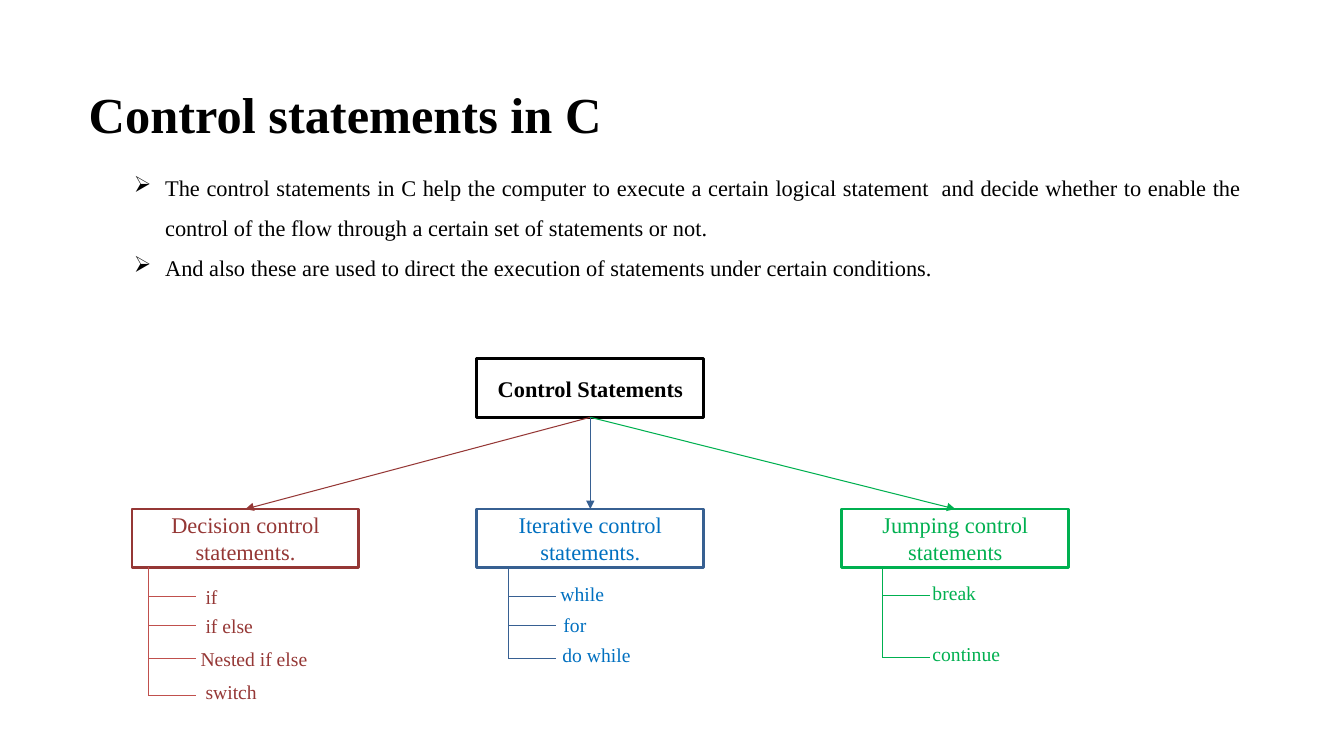
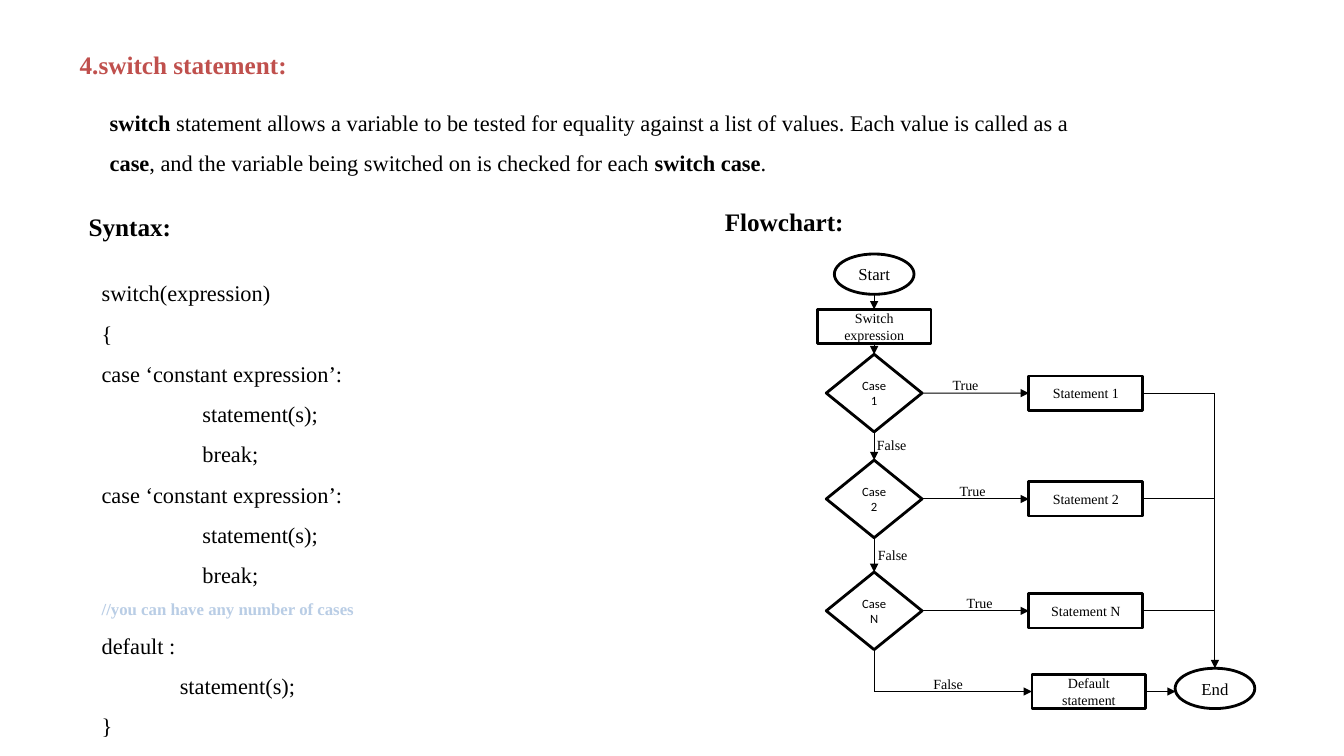
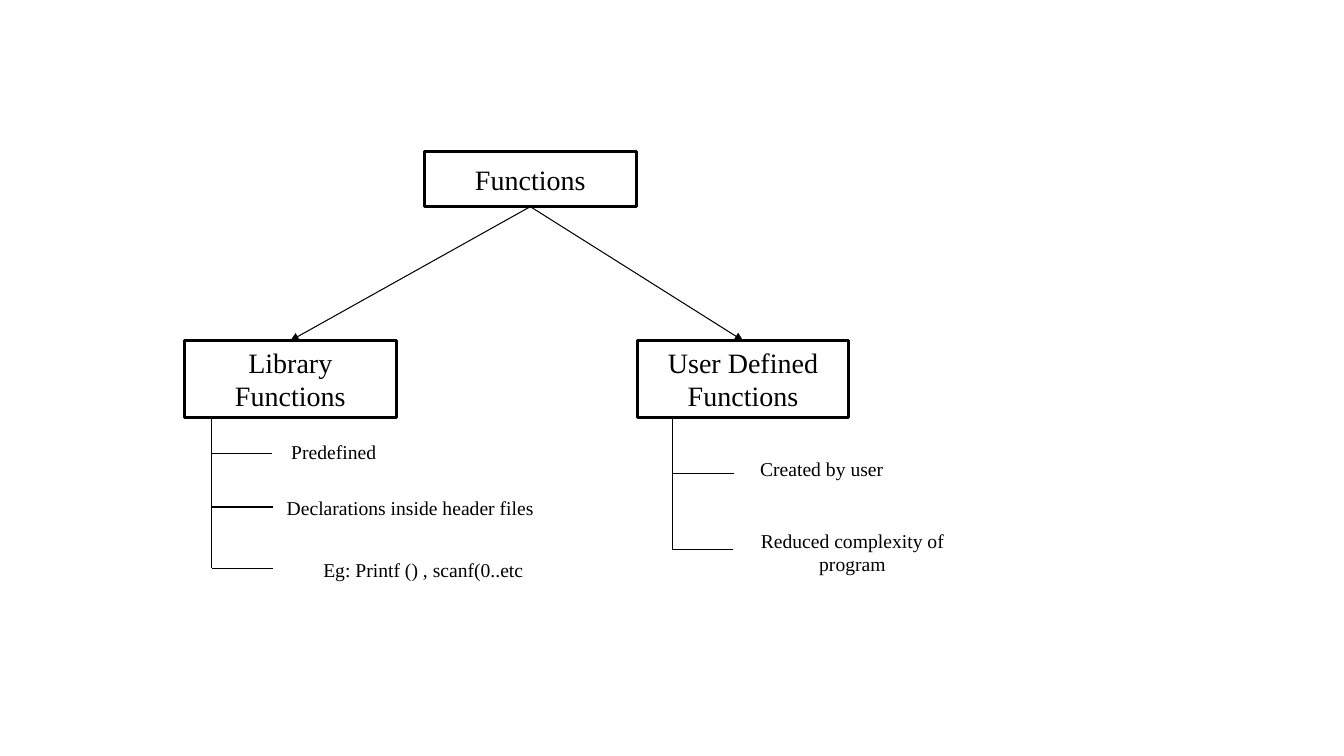
from lxml import etree
from pptx import Presentation
from pptx.dml.color import RGBColor
from pptx.enum.shapes import MSO_CONNECTOR, MSO_SHAPE
from pptx.enum.text import MSO_ANCHOR, PP_ALIGN
from pptx.oxml.ns import qn
from pptx.util import Inches, Pt

BLACK = RGBColor(0x00, 0x00, 0x00)
WHITE = RGBColor(0xFF, 0xFF, 0xFF)
RED = RGBColor(0xC0, 0x50, 0x4D)
DARK_RED = RGBColor(0x95, 0x37, 0x35)
BLUE = RGBColor(0x00, 0x70, 0xC0)
DARK_BLUE = RGBColor(0x37, 0x60, 0x92)
PALE_BLUE = RGBColor(0xB9, 0xCD, 0xE5)
GREEN = RGBColor(0x00, 0xB0, 0x50)

SERIF = "Times New Roman"
SANS = "Calibri"

RECTANGLE = MSO_SHAPE.RECTANGLE
DIAMOND = MSO_SHAPE.DIAMOND
ELLIPSE = MSO_SHAPE.OVAL
STRAIGHT = MSO_CONNECTOR.STRAIGHT
LEFT, CENTER, JUSTIFY = PP_ALIGN.LEFT, PP_ALIGN.CENTER, PP_ALIGN.JUSTIFY
TOP, MIDDLE = MSO_ANCHOR.TOP, MSO_ANCHOR.MIDDLE
SIDE_TOP, SIDE_LEFT, SIDE_BOTTOM, SIDE_RIGHT = range(4)


def style_paragraph(paragraph, size, color=BLACK, bold=False, font_name=SERIF,
                    align=LEFT):
    paragraph.alignment = align
    font = paragraph.font
    font.name = font_name
    font.size = Pt(size)
    font.bold = bold
    font.color.rgb = color


def add_title(slide, text, left, top, width, height, size, color=BLACK):
    title = slide.shapes.title
    title.left, title.top = Inches(left), Inches(top)
    title.width, title.height = Inches(width), Inches(height)
    title.text_frame.text = text
    title.text_frame.vertical_anchor = TOP
    style_paragraph(title.text_frame.paragraphs[0], size, color, bold=True)


def add_text_frame(slide, left, top, width, height):
    text_box = slide.shapes.add_textbox(
        Inches(left), Inches(top), Inches(width), Inches(height))
    text_box.text_frame.word_wrap = True
    return text_box.text_frame


def add_label(slide, text, left, top, width, height, size, color=BLACK, bold=False):
    frame = add_text_frame(slide, left, top, width, height)
    frame.text = text
    style_paragraph(frame.paragraphs[0], size, color, bold)


def add_box(slide, text, left, top, width, height, size, line_color=BLACK,
            text_color=BLACK, bold=False, kind=RECTANGLE, font_name=SERIF):
    shape = slide.shapes.add_shape(
        kind, Inches(left), Inches(top), Inches(width), Inches(height))
    shape.shadow.inherit = False
    shape.fill.solid()
    shape.fill.fore_color.rgb = WHITE
    shape.line.color.rgb = line_color
    shape.line.width = Pt(2)
    shape.text_frame.text = text
    shape.text_frame.vertical_anchor = MIDDLE
    style_paragraph(shape.text_frame.paragraphs[0], size, text_color, bold,
                    font_name, CENTER)
    return shape


def add_line(slide, start, end, color=BLACK, arrow=False):
    """Each end is an (x, y) point in inches or a (shape, side) joint."""
    points = [end_point if isinstance(end_point[0], (int, float)) else (0, 0)
              for end_point in (start, end)]
    connector = slide.shapes.add_connector(
        STRAIGHT, *[Inches(value) for point in points for value in point])
    if not isinstance(start[0], (int, float)):
        connector.begin_connect(*start)
    if not isinstance(end[0], (int, float)):
        connector.end_connect(*end)
    connector.line.color.rgb = color
    connector.line.width = Pt(0.75)
    properties = connector._element.spPr
    if arrow:
        etree.SubElement(properties.find(qn("a:ln")), qn("a:tailEnd"), type="triangle")
    etree.SubElement(properties, qn("a:effectLst"))


def add_branches(slide, x, top, ticks, length, color=BLACK):
    """A trunk down to the last tick, with a stub to the right at each tick."""
    add_line(slide, (x, top), (x, ticks[-1]), color)
    for y in ticks:
        add_line(slide, (x, y), (x + length, y), color)


def add_bullets(slide, texts, left, top, width, height):
    frame = add_text_frame(slide, left, top, width, height)
    for index, text in enumerate(texts):
        paragraph = frame.add_paragraph() if index else frame.paragraphs[0]
        paragraph.text = text
        properties = paragraph._p.get_or_add_pPr()
        properties.set("marL", str(Inches(0.31)))
        properties.set("indent", str(-Inches(0.31)))
        etree.SubElement(properties, qn("a:buChar"), char="➢")
        paragraph.line_spacing = 1.5
        style_paragraph(paragraph, 16, align=JUSTIFY)


def add_code(slide, lines, left, top, width, height):
    frame = add_text_frame(slide, left, top, width, height)
    for index, line in enumerate(lines):
        paragraph = frame.add_paragraph() if index else frame.paragraphs[0]
        paragraph.text = line
        tabs = etree.SubElement(paragraph._p.get_or_add_pPr(), qn("a:tabLst"))
        etree.SubElement(tabs, qn("a:tab"), pos=str(Inches(1)), algn="l")
        paragraph.line_spacing = 1.5
        if line.startswith("//"):
            style_paragraph(paragraph, 12, PALE_BLUE, bold=True)
        else:
            style_paragraph(paragraph, 16)


def build_control_statements(slide):
    add_title(slide, "Control statements in C", 0.78, 0.77, 8.44, 0.71, 36)
    add_bullets(slide, [
        "The control statements in C help the computer to execute a certain logical "
        "statement  and decide whether to enable the control of the flow through a "
        "certain set of statements or not.",
        "And also these are used to direct the execution of statements under certain "
        "conditions.",
    ], 1.23, 1.54, 11.18, 1.31)

    box_top, box_width, box_height = 5.05, 2.25, 0.58
    root = add_box(slide, "Control Statements", 4.73, 3.56, box_width, box_height,
                   16, bold=True)
    # heading, box left, box line, branch line, text colour, trunk x,
    # items as (text, tick y, label left, label top)
    groups = [
        ("Decision control statements.", 1.31, DARK_RED, RED, DARK_RED, 1.47,
         [("if", 5.92, 1.94, 5.75), ("if else", 6.21, 1.94, 6.04),
          ("Nested if else", 6.53, 1.89, 6.37), ("switch", 6.9, 1.94, 6.7)]),
        ("Iterative control statements.", 4.73, DARK_BLUE, DARK_BLUE, BLUE, 5.04,
         [("while", 5.92, 5.46, 5.72), ("for", 6.21, 5.49, 6.03),
          ("do while", 6.53, 5.48, 6.33)]),
        ("Jumping control statements", 8.35, GREEN, GREEN, GREEN, 8.75,
         [("break", 5.91, 9.15, 5.71), ("continue", 6.52, 9.15, 6.32)]),
    ]
    for heading, left, box_color, branch_color, text_color, trunk_x, items in groups:
        box = add_box(slide, heading, left, box_top, box_width, box_height, 16,
                      box_color, text_color)
        add_line(slide, (root, SIDE_BOTTOM), (box, SIDE_TOP), box_color, arrow=True)
        add_branches(slide, trunk_x, box_top + box_height,
                     [tick for _, tick, _, _ in items], 0.47, branch_color)
        for text, _, label_left, label_top in items:
            add_label(slide, text, label_left, label_top, 1.51, 0.34, 14, text_color)


def add_node(slide, text, center_x, center_y, kind=RECTANGLE):
    """A flowchart node placed by its centre; its kind sets size and font."""
    width, height, size, font_name = {
        RECTANGLE: (1.13, 0.34, 10, SERIF),
        DIAMOND: (0.95, 0.77, 9, SANS),
        ELLIPSE: (0.79, 0.4, 12, SERIF),
    }[kind]
    return add_box(slide, text, center_x - width / 2, center_y - height / 2, width,
                   height, size, kind=kind, font_name=font_name)


def add_flowchart(slide):
    main_x, statement_x, end_x = 8.67, 10.77, 12.05
    default_y = 6.86
    add_node(slide, "Start", main_x, 2.72, ELLIPSE)
    previous = add_node(slide, "Switch expression", main_x, 3.24)
    add_line(slide, (main_x, 2.92), (previous, SIDE_TOP), arrow=True)

    # row name, centre y, left of its "True" label
    for name, y, true_left in [("1", 3.9, 9.35), ("2", 4.95, 9.42), ("N", 6.06, 9.49)]:
        case = add_node(slide, f"Case {name}", main_x, y, DIAMOND)
        statement = add_node(slide, f"Statement {name}", statement_x, y)
        add_line(slide, (previous, SIDE_BOTTOM), (case, SIDE_TOP), arrow=True)
        add_line(slide, (case, SIDE_RIGHT), (statement, SIDE_LEFT), arrow=True)
        add_line(slide, (statement, SIDE_RIGHT), (end_x, y))
        add_label(slide, "True", true_left, y - 0.21, 0.5, 0.27, 10)
        previous = case

    default = add_node(slide, "Default statement", 10.8, default_y)
    add_node(slide, "End", end_x, 6.83, ELLIPSE)
    add_line(slide, (previous, SIDE_BOTTOM), (main_x, default_y))
    add_line(slide, (main_x, default_y), (default, SIDE_LEFT), arrow=True)
    add_line(slide, (default, SIDE_RIGHT), (11.66, default_y), arrow=True)
    add_line(slide, (end_x, 3.9), (end_x, 6.63), arrow=True)
    for left, top in [(8.6, 4.28), (8.61, 5.37), (9.16, 6.65)]:
        add_label(slide, "False", left, top, 0.57, 0.27, 10)


def build_switch_statement(slide):
    add_title(slide, "4.switch statement:", 0.69, 0.44, 3.11, 0.4, 18, RED)
    paragraph = add_text_frame(slide, 0.99, 0.9, 9.77, 0.86).paragraphs[0]
    paragraph.line_spacing = 1.5
    style_paragraph(paragraph, 16)
    for text, bold in [
        ("switch", True),
        (" statement allows a variable to be tested for equality against a list of "
         "values. Each value is called as a ", False),
        ("case", True),
        (", and the variable being switched on is checked for each ", False),
        ("switch case", True),
        (".", False),
    ]:
        run = paragraph.add_run()
        run.text = text
        run.font.bold = bold

    add_label(slide, "Syntax:", 0.78, 2.05, 1.35, 0.4, 18, bold=True)
    add_label(slide, "Flowchart:", 7.09, 2, 2.03, 0.4, 18, bold=True)
    case_lines = ["case ‘constant expression’:", "\tstatement(s);", "\tbreak;"]
    add_code(slide, [
        "switch(expression)",
        "{",
        *case_lines * 2,
        "//you can have any number of cases",
        "default :",
        "              statement(s);",
        "}",
    ], 0.91, 2.59, 3.17, 4.8)
    add_flowchart(slide)


def build_functions(slide):
    box_top, box_width, box_height = 3.38, 2.1, 0.76
    root = add_box(slide, "Functions", 4.21, 1.5, box_width, 0.55, 20)
    # heading, box left, trunk x, tick heights, items as (text, left, top, width)
    groups = [
        ("Library Functions", 1.83, 2.1, [4.5, 5.03, 5.64],
         [("Predefined", 2.71, 4.28, 1.2),
          ("Declarations inside header files", 2.73, 4.84, 2.68),
          ("Eg: Printf () , scanf(0..etc", 2.81, 5.45, 2.78)]),
        ("User Defined Functions", 6.32, 6.67, [4.7, 5.45],
         [("Created by user", 7.34, 4.45, 1.62),
          ("Reduced complexity of program", 7.28, 5.28, 2.35)]),
    ]
    for heading, left, trunk_x, ticks, items in groups:
        box = add_box(slide, heading, left, box_top, box_width, box_height, 20)
        add_line(slide, (root, SIDE_BOTTOM), (box, SIDE_TOP), arrow=True)
        add_branches(slide, trunk_x, box_top + box_height, ticks, 0.61)
        for text, item_left, item_top, item_width in items:
            add_box(slide, text, item_left, item_top, item_width, 0.4, 14, WHITE)


def main():
    presentation = Presentation()
    presentation.slide_width = Inches(13.33)
    presentation.slide_height = Inches(7.5)
    title_only, blank = presentation.slide_layouts[5], presentation.slide_layouts[6]
    build_control_statements(presentation.slides.add_slide(title_only))
    build_switch_statement(presentation.slides.add_slide(title_only))
    build_functions(presentation.slides.add_slide(blank))
    presentation.save("out.pptx")


if __name__ == "__main__":
    main()
